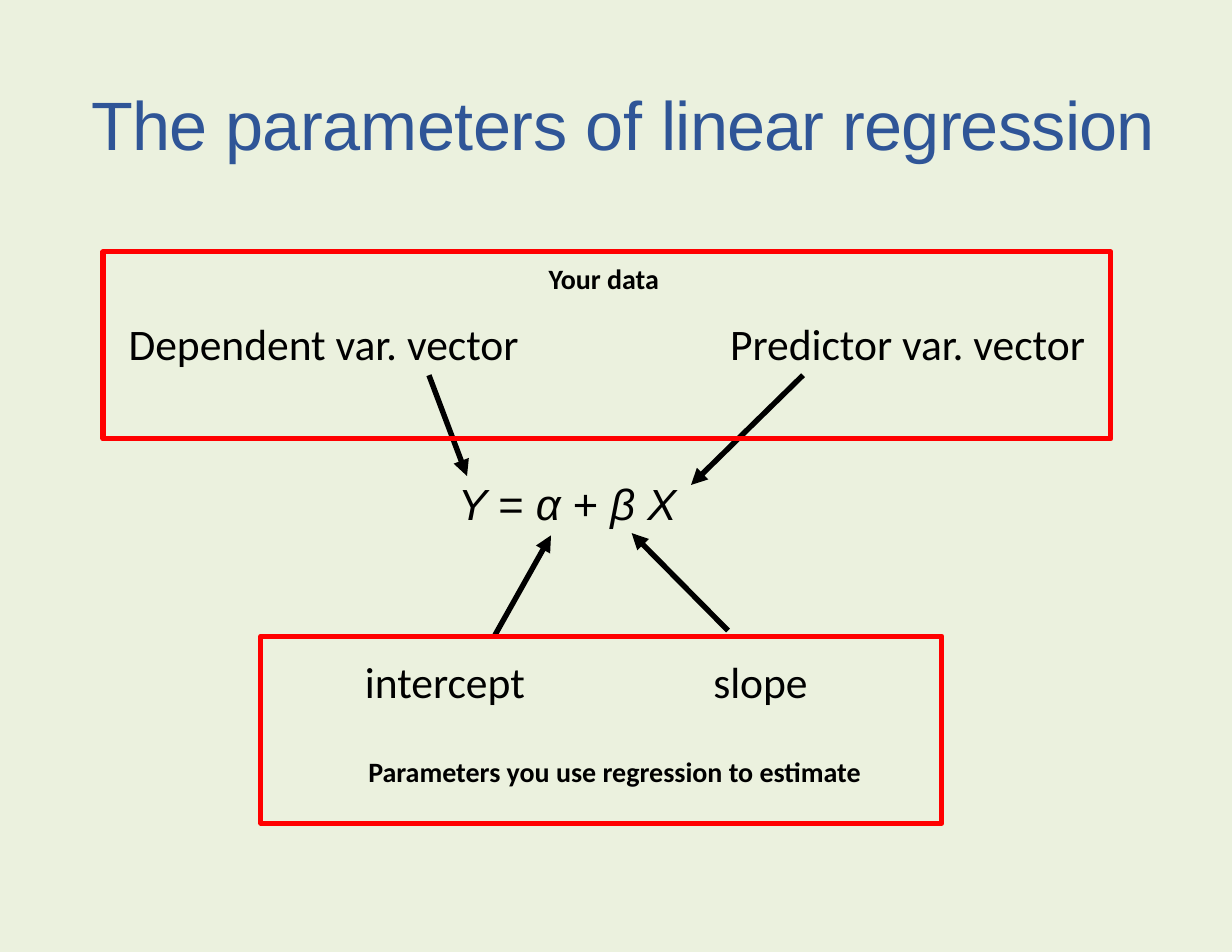
from typing import NamedTuple

from lxml import etree
from pptx import Presentation
from pptx.dml.color import RGBColor
from pptx.enum.shapes import MSO_CONNECTOR, MSO_SHAPE
from pptx.enum.text import MSO_ANCHOR, MSO_AUTO_SIZE, PP_ALIGN
from pptx.oxml.ns import qn
from pptx.util import Inches, Pt

LINE = MSO_CONNECTOR.STRAIGHT
RECT = MSO_SHAPE.RECTANGLE
TOP = MSO_ANCHOR.TOP
NO_FIT = MSO_AUTO_SIZE.NONE
LEFT, CENTER = PP_ALIGN.LEFT, PP_ALIGN.CENTER

CREAM = RGBColor(0xEB, 0xF1, 0xDE)
BLUE = RGBColor(0x2F, 0x55, 0x97)
BLACK = RGBColor(0, 0, 0)
RED = RGBColor(0xFF, 0, 0)


class Label(NamedTuple):
    text: str
    left: float
    top: float
    width: float
    height: float = 0.57
    size: int = 28
    bold: bool = False


class Arrow(NamedTuple):
    x1: float
    y1: float
    x2: float
    y2: float


class Frame(NamedTuple):
    left: float
    top: float
    width: float
    height: float = 1.67


# Title words with letter spacing in hundredths of a point
TITLE = [("The ", -80), ("parameters ", -30), ("of ", -20),
         ("linear ", -60), ("regression", -50)]
# Equation parts, italic for the symbols
TERMS = [("Y ", True), ("= ", False), ("α ", True), ("+ ", False), ("β X", True)]

LABELS = [
    Label("Dependent var. vector", 1.05, 2.78, 3.72),
    Label("Predictor var. vector", 6.42, 2.78, 3.41),
    Label("intercept", 3.16, 5.8, 1.65),
    Label("slope", 6.27, 5.8, 1.05),
    Label("Your data", 4.8, 2.29, 1.2, 0.4, 18, True),
    Label("Parameters you use regression to estimate",
          3.19, 6.69, 4.63, 0.4, 18, True),
]
ARROWS = [
    Arrow(3.83, 3.35, 4.17, 4.25),
    Arrow(7.17, 3.35, 6.17, 4.33),
    Arrow(4.42, 5.67, 4.92, 4.78),
    Arrow(6.5, 5.63, 5.64, 4.76),
]
FRAMES = [Frame(0.92, 2.25, 9), Frame(2.33, 5.68, 6.08)]


def set_font(para, name: str, size: int, color: RGBColor) -> None:
    font = para.font
    font.name, font.size = name, Pt(size)
    font.color.rgb = color


def set_pads(frame, top: float) -> None:
    frame.margin_left = frame.margin_right = frame.margin_bottom = 0
    frame.margin_top = Inches(top)


def add_title(slide) -> None:
    title = slide.shapes.title
    title.left, title.top = Inches(0.82), Inches(0.67)
    title.width, title.height = Inches(9.93), Inches(0.8)
    frame = title.text_frame
    frame.auto_size, frame.vertical_anchor = NO_FIT, TOP
    set_pads(frame, 0.06)
    para = frame.paragraphs[0]
    para.alignment = LEFT
    set_font(para, "Arial", 44, BLUE)
    for word, gap in TITLE:
        run = para.add_run()
        run.text = word
        run._r.get_or_add_rPr().set("spc", str(gap))


def add_model(slide) -> None:
    box = slide.shapes.add_textbox(
        Inches(3.33), Inches(4.25), Inches(3.47), Inches(0.49))
    frame = box.text_frame
    frame.word_wrap = True
    set_pads(frame, 0.01)
    para = frame.paragraphs[0]
    para.alignment, para.space_before = CENTER, Pt(1.1)
    set_font(para, "Arial", 28, BLACK)
    for term, slant in TERMS:
        run = para.add_run()
        run.text, run.font.italic = term, slant


def add_label(slide, label: Label) -> None:
    box = slide.shapes.add_textbox(
        Inches(label.left), Inches(label.top),
        Inches(label.width), Inches(label.height))
    box.text_frame.word_wrap = False
    para = box.text_frame.paragraphs[0]
    para.text = label.text
    set_font(para, "Calibri", label.size, BLACK)
    para.font.bold = label.bold


def add_arrow(slide, arrow: Arrow) -> None:
    link = slide.shapes.add_connector(LINE, *(Inches(n) for n in arrow))
    link.line.color.rgb, link.line.width = BLACK, Pt(3.5)
    props = link._element.spPr
    etree.SubElement(props.find(qn("a:ln")), qn("a:tailEnd"), type="triangle")
    etree.SubElement(props, qn("a:effectLst"))


def add_frame(slide, frame: Frame) -> None:
    box = slide.shapes.add_shape(RECT, *(Inches(n) for n in frame))
    box.shadow.inherit = False
    box.fill.background()
    box.line.color.rgb, box.line.width = RED, Pt(3.25)
    etree.SubElement(box._element.spPr.find(qn("a:ln")), qn("a:round"))


def main() -> None:
    deck = Presentation()
    deck.slide_width, deck.slide_height = Inches(11), Inches(8.5)
    slide = deck.slides.add_slide(deck.slide_layouts[5])
    fill = slide.background.fill
    fill.solid()
    fill.fore_color.rgb = CREAM

    # Title and equation
    add_title(slide)
    add_model(slide)

    # Names of the terms, arrows to them, and frames around the groups
    for label in LABELS:
        add_label(slide, label)
    for arrow in ARROWS:
        add_arrow(slide, arrow)
    for frame in FRAMES:
        add_frame(slide, frame)

    deck.save("out.pptx")


if __name__ == "__main__":
    main()
